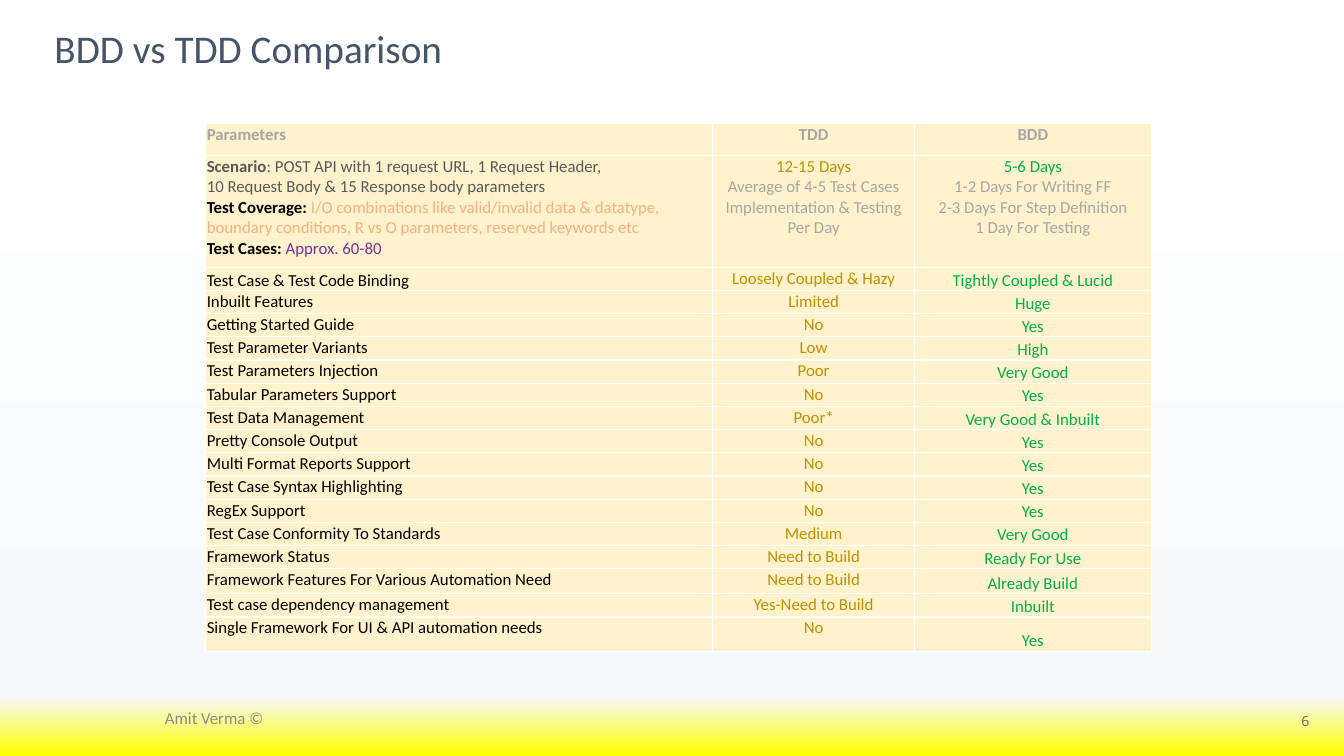
from dataclasses import dataclass

from lxml.etree import SubElement
from pptx import Presentation
from pptx.dml.color import RGBColor
from pptx.enum.text import MSO_ANCHOR, MSO_AUTO_SIZE, PP_ALIGN
from pptx.oxml.ns import qn
from pptx.util import Pt


@dataclass(frozen=True)
class Theme:
    font: str = "Calibri"
    number_font: str = "Open Sans"
    title_size: float = 28
    body_size: float = 12
    number_size: float = 10
    title: str = "44546A"
    footer: str = "8C8C8C"
    number: str = "666666"
    cell: str = "FFF2CC"
    border: str = "FFFFFF"
    muted: str = "A6A6A6"
    dark: str = "595959"
    black: str = "000000"
    coverage: str = "F4B183"
    count: str = "7030A0"
    tdd: str = "BF9000"
    bdd: str = "00B050"
    backdrop: tuple = ((0, "FFFFFF"), (14, "FFFFFF"), (92, "F6F8FC"), (100, "FFFF00"))


T = Theme()
LEFT, CENTER, RIGHT = PP_ALIGN.LEFT, PP_ALIGN.CENTER, PP_ALIGN.RIGHT
TOP, MIDDLE, BOTTOM = MSO_ANCHOR.TOP, MSO_ANCHOR.MIDDLE, MSO_ANCHOR.BOTTOM

COLUMN_WIDTHS = (362.2, 144, 169.2)
HEADER_HEIGHT, SCENARIO_HEIGHT, FEATURE_HEIGHT = 23, 80, 16.56
TALL_ROWS = {"Framework Features For Various Automation Need": 18,
             "Single Framework For UI & API automation needs": 24.5}

HEADERS = ("Parameters", "TDD", "BDD")

# Each cell holds paragraphs, each paragraph holds (text, colour, bold) runs
SCENARIO = (
    [
        [("Scenario", T.dark, True),
         (": POST API with 1 request URL, 1 Request Header, ", T.dark, False)],
        [("10 Request Body & 15 Response body parameters\n", T.dark, False),
         ("Test Coverage: ", T.black, True),
         ("I/O combinations like valid/invalid data & datatype, ", T.coverage, False)],
        [("boundary conditions, R vs O parameters, reserved keywords etc\n", T.coverage, False),
         ("Test Cases: ", T.black, True),
         ("Approx. 60-80", T.count, False)],
    ],
    [
        [("12-15 Days\n", T.tdd, False), ("Average of 4-5 Test Cases", T.muted, False)],
        [("Implementation & Testing", T.muted, False)],
        [("Per Day", T.muted, False)],
    ],
    [
        [("5-6 Days\n", T.bdd, False),
         ("1-2 Days For Writing FF\n2-3 Days For Step Definition\n1 Day For Testing",
          T.muted, False)],
    ],
)

FEATURES = (
    ("Test Case & Test Code Binding", "Loosely Coupled & Hazy", "Tightly Coupled & Lucid"),
    ("Inbuilt Features", "Limited", "Huge"),
    ("Getting Started Guide", "No", "Yes"),
    ("Test Parameter Variants", "Low", "High"),
    ("Test Parameters Injection", "Poor", "Very Good"),
    ("Tabular Parameters Support", "No", "Yes"),
    ("Test Data Management", "Poor*", "Very Good & Inbuilt"),
    ("Pretty Console Output", "No", "Yes"),
    ("Multi Format Reports Support", "No", "Yes"),
    ("Test Case Syntax Highlighting", "No", "Yes"),
    ("RegEx Support", "No", "Yes"),
    ("Test Case Conformity To Standards", "Medium", "Very Good"),
    ("Framework Status", "Need to Build", "Ready For Use"),
    ("Framework Features For Various Automation Need", "Need to Build", "Already Build"),
    ("Test case dependency management", "Yes-Need to Build", "Inbuilt"),
    ("Single Framework For UI & API automation needs", "No", "Yes"),
)


def add_run(p, text, color, size=T.body_size, bold=False, font=T.font):
    """Add text to a paragraph, turning newlines into line breaks."""
    for i, line in enumerate(text.split("\n")):
        if i:
            p.add_line_break()
        if line:
            r = p.add_run()
            r.text = line
            r.font.name, r.font.size, r.font.bold = font, Pt(size), bold
            r.font.color.rgb = RGBColor.from_string(color)


def set_frame(tf, inset=None):
    tf.word_wrap = True
    tf.auto_size = MSO_AUTO_SIZE.NONE
    tf.vertical_anchor = MIDDLE
    if inset is not None:
        tf.margin_left = tf.margin_right = tf.margin_top = tf.margin_bottom = Pt(inset)


def set_background(s):
    s.background.fill.gradient()
    grad = s._element.find(".//" + qn("a:gradFill"))
    stops = grad.find(qn("a:gsLst"))
    for stop in list(stops):
        stops.remove(stop)
    for pos, color in T.backdrop:
        stop = SubElement(stops, qn("a:gs"), pos=str(pos * 1000))
        SubElement(stop, qn("a:srgbClr"), val=color)
    grad.find(qn("a:lin")).set("ang", str(90 * 60000))


def set_title(s, text):
    sp = s.shapes.title
    sp.left, sp.top, sp.width, sp.height = Pt(29.5), Pt(12.2), Pt(873.4), Pt(48.2)
    set_frame(sp.text_frame, 9.4)
    p = sp.text_frame.paragraphs[0]
    p.alignment, p.line_spacing = LEFT, 0.9
    add_run(p, text, T.title, T.title_size)


def add_label(s, box, text, color, size, align, font=T.font, inset=None):
    tf = s.shapes.add_textbox(*map(Pt, box)).text_frame
    set_frame(tf, inset)
    p = tf.paragraphs[0]
    p.alignment = align
    add_run(p, text, color, size, font=font)


def set_borders(cell):
    tc_pr = cell._tc.get_or_add_tcPr()
    for i, side in enumerate(("lnL", "lnR", "lnT", "lnB")):
        ln = tc_pr.makeelement(qn("a:" + side), {"w": str(Pt(1))})
        fill = SubElement(ln, qn("a:solidFill"))
        SubElement(fill, qn("a:srgbClr"), val=T.border)
        tc_pr.insert(i, ln)  # borders come before the fill


def fill_cell(cell, paragraphs, align, anchor=TOP):
    cell.margin_left = cell.margin_right = cell.margin_top = Pt(0.7)
    cell.margin_bottom = Pt(0)
    cell.vertical_anchor = anchor
    cell.fill.solid()
    cell.fill.fore_color.rgb = RGBColor.from_string(T.cell)
    set_borders(cell)
    tf = cell.text_frame
    for i, runs in enumerate(paragraphs):
        p = tf.add_paragraph() if i else tf.paragraphs[0]
        p.alignment = align
        for text, color, bold in runs:
            add_run(p, text, color, bold=bold)


def add_comparison(s):
    heights = [HEADER_HEIGHT, SCENARIO_HEIGHT]
    heights += [TALL_ROWS.get(name, FEATURE_HEIGHT) for name, *_ in FEATURES]
    table = s.shapes.add_table(len(heights), len(COLUMN_WIDTHS), Pt(147), Pt(88),
                               Pt(sum(COLUMN_WIDTHS)), Pt(sum(heights))).table
    table.horz_banding = False
    for column, width in zip(table.columns, COLUMN_WIDTHS):
        column.width = Pt(width)
    for row, height in zip(table.rows, heights):
        row.height = Pt(height)

    rows = [[[[(text, T.muted, True)]] for text in HEADERS], SCENARIO]
    for feature in FEATURES:
        rows.append([[[(text, color, False)]]
                     for text, color in zip(feature, (T.black, T.tdd, T.bdd))])
    for i, row in enumerate(rows):
        for j, paragraphs in enumerate(row):
            # BDD values sit at the bottom, as does the first feature name
            at_bottom = (j == 2 and i >= 2) or (i, j) == (2, 0)
            fill_cell(table.cell(i, j), paragraphs, CENTER if j else LEFT,
                      BOTTOM if at_bottom else TOP)


def main():
    prs = Presentation()
    prs.slide_width, prs.slide_height = Pt(960), Pt(540)
    s = prs.slides.add_slide(prs.slide_layouts[5])
    set_background(s)
    set_title(s, "BDD vs TDD Comparison")
    add_comparison(s)
    # Footer and slide number
    add_label(s, (29.5, 499.7, 247, 26), "Amit Verma ©", T.footer, T.body_size, CENTER)
    add_label(s, (902.9, 499.7, 41.8, 31), "6", T.number, T.number_size, RIGHT,
              T.number_font, 9.4)
    prs.save("out.pptx")


main()
